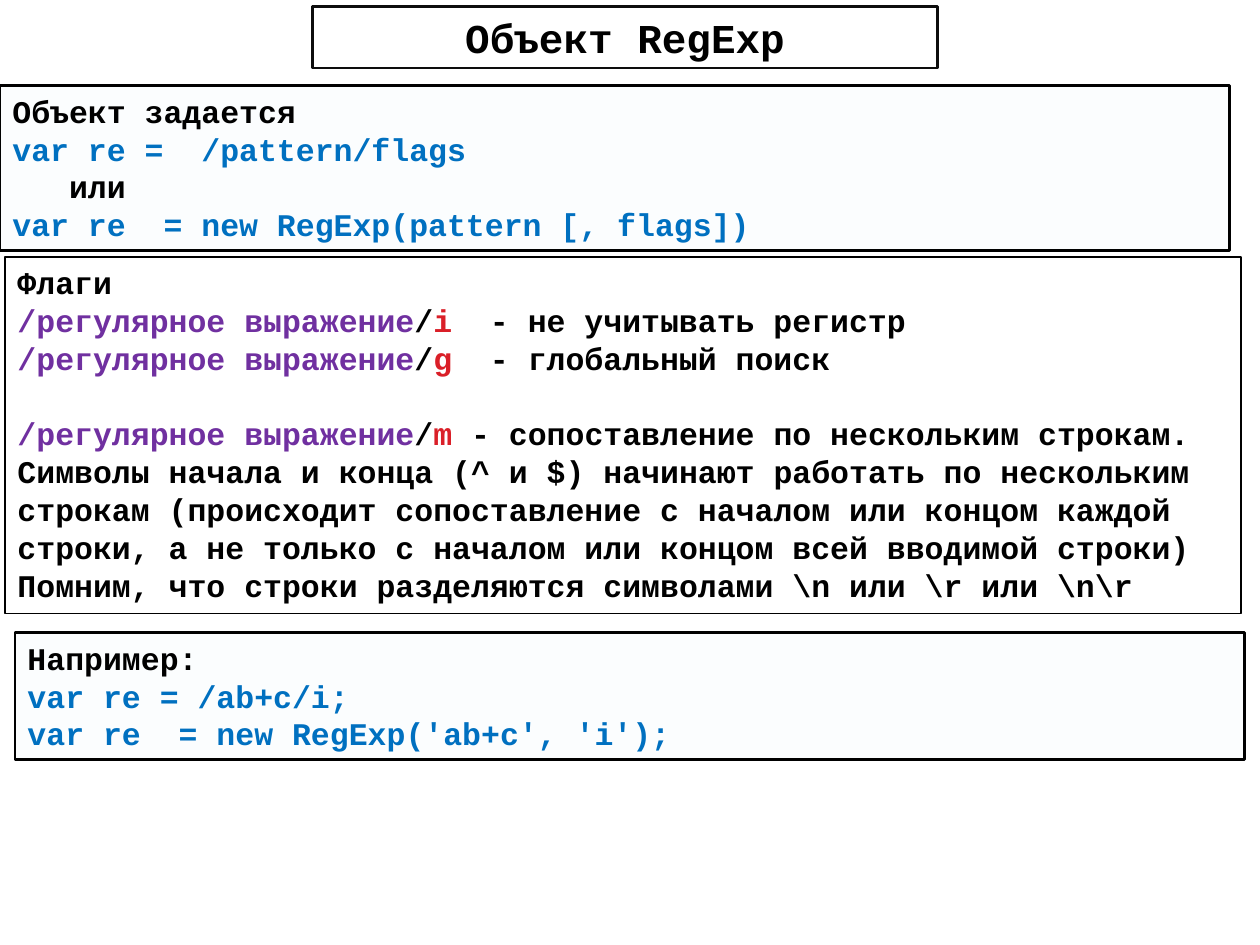
from lxml import etree
from pptx import Presentation
from pptx.dml.color import RGBColor
from pptx.enum.shapes import MSO_SHAPE
from pptx.enum.text import MSO_ANCHOR, MSO_AUTO_SIZE, PP_ALIGN
from pptx.oxml.ns import qn
from pptx.util import Inches, Pt

RECTANGLE = MSO_SHAPE.RECTANGLE
MIDDLE, TOP = MSO_ANCHOR.MIDDLE, MSO_ANCHOR.TOP
CENTER, LEFT = PP_ALIGN.CENTER, PP_ALIGN.LEFT
NO_AUTOFIT = MSO_AUTO_SIZE.NONE

BLACK = RGBColor(0x00, 0x00, 0x00)
NEAR_BLACK = RGBColor(0x0D, 0x0D, 0x0D)
WHITE = RGBColor(0xFF, 0xFF, 0xFF)
PALE_BLUE = RGBColor(0xD3, 0xEE, 0xF5)
BLUE = RGBColor(0x00, 0x70, 0xC0)
PURPLE = RGBColor(0x70, 0x30, 0xA0)
RED = RGBColor(0xDA, 0x1F, 0x28)


def add_runs(paragraph, runs, size):
    for text, color in runs:
        run = paragraph.add_run()
        run.text = text
        font_format = {"name": "Courier New", "size": Pt(size), "bold": True}
        for attribute, value in font_format.items():
            setattr(run.font, attribute, value)
        run.font.color.rgb = color


prs = Presentation()
prs.slide_width, prs.slide_height = Inches(10), Inches(7.5)
slide = prs.slides.add_slide(prs.slide_layouts[5])

# Title
title = slide.shapes.title
title.left, title.top = Inches(2.48), Inches(0.05)
title.width, title.height = Inches(4.96), Inches(0.49)
title.fill.solid()
title.fill.fore_color.rgb = WHITE
title.line.color.rgb = NEAR_BLACK
title.line.width = Pt(1.5)
title.text_frame.auto_size = NO_AUTOFIT
title.text_frame.vertical_anchor = MIDDLE
title.text_frame.paragraphs[0].alignment = CENTER
add_runs(title.text_frame.paragraphs[0], [("Объект RegExp", BLACK)], 23.4)

# Panel contents: each line is a list of (text, colour) runs
syntax = [
    [("Объект задается", BLACK)],
    [("var re =  /pattern/flags", BLUE)],
    [("или", BLACK)],
    [("var re  = new RegExp(pattern [, flags])", BLUE)],
]
example = [
    [("Например:", BLACK)],
    [("var re = /ab+c/i;", BLUE)],
    [("var re  = new RegExp('ab+c', 'i');", BLUE)],
]
flags = [[("Флаги", BLACK)]]
for flag, meaning in [
    ("i", "\t- не учитывать регистр"),
    ("g", "\t- глобальный поиск"),
    ("m", " - сопоставление по нескольким строкам. Символы начала и конца "
          "(^ и $) начинают работать по нескольким строкам (происходит "
          "сопоставление с началом или концом каждой строки, а не только "
          "с началом или концом всей вводимой строки)"),
]:
    flags.append([("/регулярное выражение", PURPLE), ("/", BLACK),
                  (flag, RED), (meaning, BLACK)])
flags.append([("Помним, что строки разделяются символами "
               "\\n или \\r или \\n\\r", BLACK)])

# Panels: left, top, width, height, line width, tinted, lines
panels = [
    (0, 0.68, 9.76, 1.31, 1.5, True, syntax),
    (0.12, 5.02, 9.76, 1.01, 1.5, True, example),
    (0.04, 2.04, 9.81, 2.83, 1, False, flags),
]
for left, top, width, height, line_width, tinted, lines in panels:
    panel = slide.shapes.add_shape(
        RECTANGLE, Inches(left), Inches(top), Inches(width), Inches(height))
    panel.shadow.inherit = False
    panel.line.color.rgb = BLACK
    panel.line.width = Pt(line_width)
    if tinted:
        panel.fill.solid()
        panel.fill.fore_color.rgb = PALE_BLUE
        tint = panel.fill._xPr.find(qn("a:solidFill"))[0]
        etree.SubElement(tint, qn("a:alpha")).set("val", "8000")
    else:
        panel.fill.background()

    frame = panel.text_frame
    frame.word_wrap = True
    frame.vertical_anchor = TOP
    for number, runs in enumerate(lines):
        paragraph = frame.paragraphs[0] if number == 0 else frame.add_paragraph()
        paragraph.alignment = LEFT
        properties = paragraph._p.get_or_add_pPr()
        if runs[0][0] == "или":
            properties.set("marL", str(Inches(0.45)))
        if runs[-1][0].startswith("\t"):
            # Dashes of the short flag descriptions line up at one tab stop
            stops = etree.SubElement(properties, qn("a:tabLst"))
            stop = etree.SubElement(stops, qn("a:tab"))
            stop.set("pos", str(Inches(3.75)))
            stop.set("algn", "l")
        if lines is flags and number == 3:
            paragraph.space_before = Pt(21.6)
        add_runs(paragraph, runs, 18)

prs.save("out.pptx")
